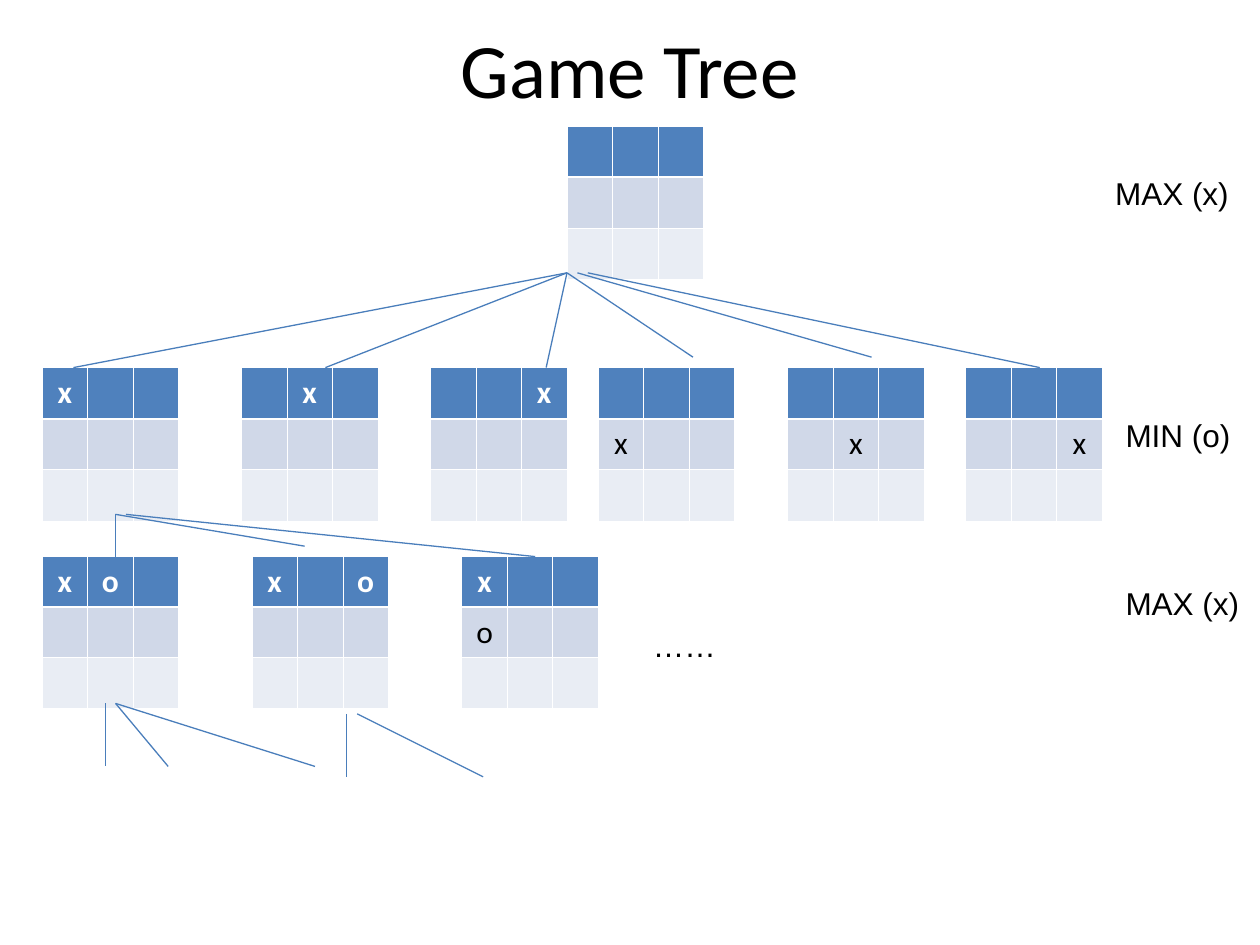
"""Build a slide with the tic-tac-toe game tree for MAX and MIN."""
import lxml.etree
import pptx
import pptx.dml.color
import pptx.enum.text
import pptx.oxml.ns
import pptx.util

RGBColor = pptx.dml.color.RGBColor
Cm, Pt, qn = pptx.util.Cm, pptx.util.Pt, pptx.oxml.ns.qn
PP_ALIGN, MSO_ANCHOR = pptx.enum.text.PP_ALIGN, pptx.enum.text.MSO_ANCHOR

BLACK = RGBColor(0x00, 0x00, 0x00)
WHITE = RGBColor(0xFF, 0xFF, 0xFF)
EDGE = RGBColor(0x4A, 0x7E, 0xBB)
ROW_FILLS = [RGBColor(0x4F, 0x81, 0xBD), RGBColor(0xD0, 0xD8, 0xE8), RGBColor(0xE9, 0xED, 0xF4)]

UNIT = 2.54 / 12
BOARD_SIZE = 13
THIN, THICK = 0.45, 1.47

TITLE = ("Game Tree", 6, 2, 108, 9)
LABELS = [
    ("MAX (x)", 105, 16, 14),
    ("MIN (o)", 106, 39, 14),
    ("MAX (x)", 106, 55, 14),
    ("……", 61, 59, 24),
]
LEVELS = [
    (12, 1.03, [(54, {})]),
    (35, 1.03, [
        (4, {(0, 0): "x"}),
        (23, {(0, 1): "x"}),
        (41, {(0, 2): "x"}),
        (57, {(1, 0): "x"}),
        (75, {(1, 1): "x"}),
        (92, {(1, 2): "x"}),
    ]),
    (53, 1.02, [
        (4, {(0, 0): "x", (0, 1): "o"}),
        (24, {(0, 0): "x", (0, 2): "o"}),
        (44, {(0, 0): "x", (1, 0): "o"}),
    ]),
]
BRANCHES = [
    ((54, 26), [(7, 35), (31, 35), (52, 35), (66, 34)]),
    ((55, 26), [(83, 34)]),
    ((56, 26), [(99, 35)]),
    ((11, 49), [(11, 53), (29, 52)]),
    ((12, 49), [(51, 53)]),
    ((10, 67), [(10, 73)]),
    ((11, 67), [(16, 73), (30, 73)]),
    ((33, 68), [(33, 74)]),
    ((34, 68), [(46, 74)]),
]


def grid(*values):
    return [Cm(round(v * UNIT, 2)) for v in values]


def add_run(p, text, size, font, color, bold=False):
    r = p.add_run()
    r.text = text
    r.font.size, r.font.name, r.font.bold = Pt(size), font, bold
    r.font.color.rgb = color


def add_text(s, text, box, size, font, wrap=True):
    tf = s.shapes.add_textbox(*grid(*box)).text_frame
    tf.word_wrap = wrap
    add_run(tf.paragraphs[0], text, size, font, BLACK)
    return tf


def set_borders(cell, row):
    tc_pr = cell._tc.get_or_add_tcPr()
    widths = {"L": THIN, "R": THIN, "T": THICK if row == 1 else THIN, "B": THICK if row == 0 else THIN}
    for side, width in widths.items():
        ln = lxml.etree.SubElement(tc_pr, qn(f"a:ln{side}"), w=str(Pt(width)))
        fill = lxml.etree.SubElement(ln, qn("a:solidFill"))
        lxml.etree.SubElement(fill, qn("a:srgbClr"), val=str(WHITE))


def add_board(s, left, top, row_height, marks):
    x, y, size = grid(left, top, BOARD_SIZE)
    table = s.shapes.add_table(3, 3, x, y, size, Cm(3 * row_height)).table
    for i in range(3):
        table.rows[i].height = Cm(row_height)
        table.columns[i].width = size // 3
        for j in range(3):
            cell = table.cell(i, j)
            set_borders(cell, i)
            cell.fill.solid()
            cell.fill.fore_color.rgb = ROW_FILLS[i]
            p = cell.text_frame.paragraphs[0]
            p.alignment = PP_ALIGN.CENTER
            if (i, j) in marks:
                add_run(p, marks[i, j], 18, "Calibri", BLACK if i else WHITE, bold=i == 0)


def add_branch(s, start, end):
    sp = s.shapes.add_connector(pptx.enum.shapes.MSO_CONNECTOR.STRAIGHT, *grid(*start, *end))
    sp.line.color.rgb = EDGE
    sp.line.width = Pt(0.75)
    lxml.etree.SubElement(sp._element.spPr, qn("a:effectLst"))


def main():
    prs = pptx.Presentation()
    prs.slide_width, prs.slide_height = Cm(25.4), Cm(19.05)
    s = prs.slides.add_slide(prs.slide_layouts[6])

    text, *box = TITLE
    tf = add_text(s, text, box, 44, "Calibri")
    tf.vertical_anchor = MSO_ANCHOR.MIDDLE
    tf.paragraphs[0].alignment = PP_ALIGN.CENTER

    for top, row_height, boards in LEVELS:
        for left, marks in boards:
            add_board(s, left, top, row_height, marks)
    for start, ends in BRANCHES:
        for end in ends:
            add_branch(s, start, end)
    for text, left, top, width in LABELS:
        add_text(s, text, (left, top, width, 4.8), 18, "Arial")

    prs.save("out.pptx")


if __name__ == "__main__":
    main()
